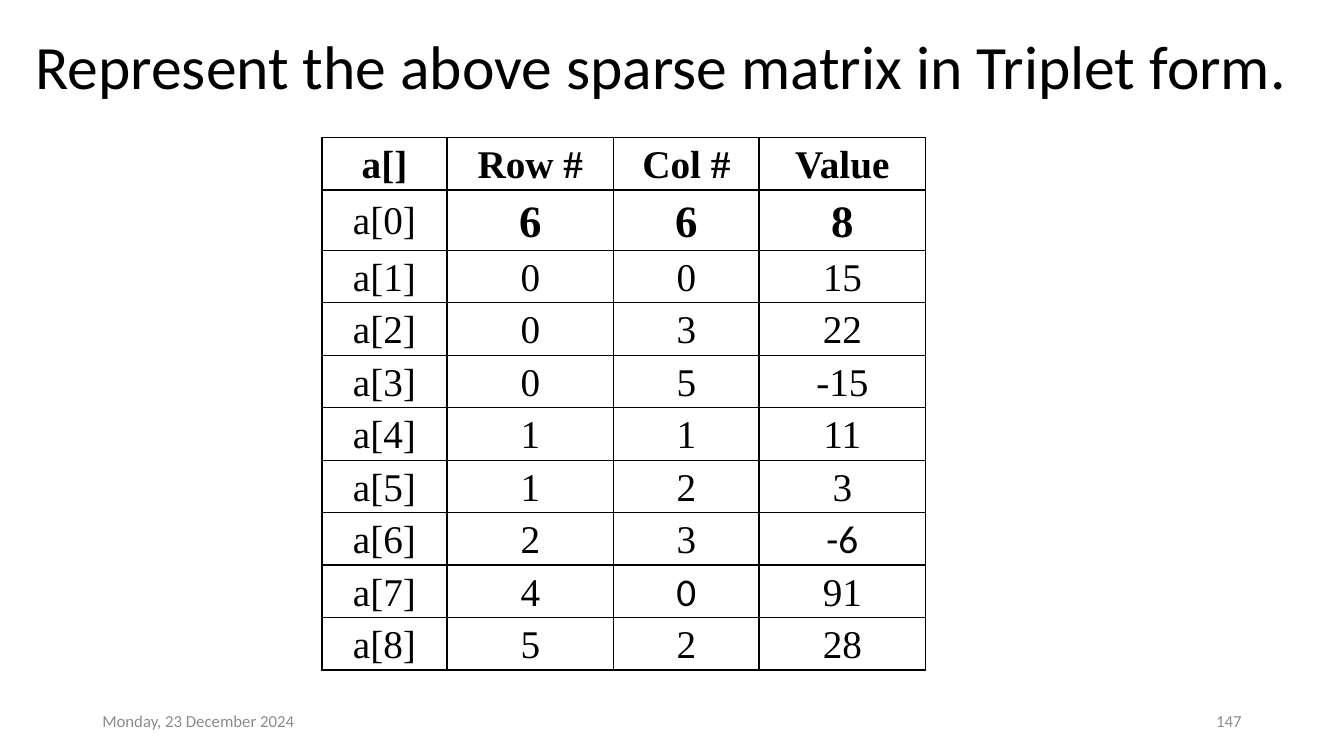
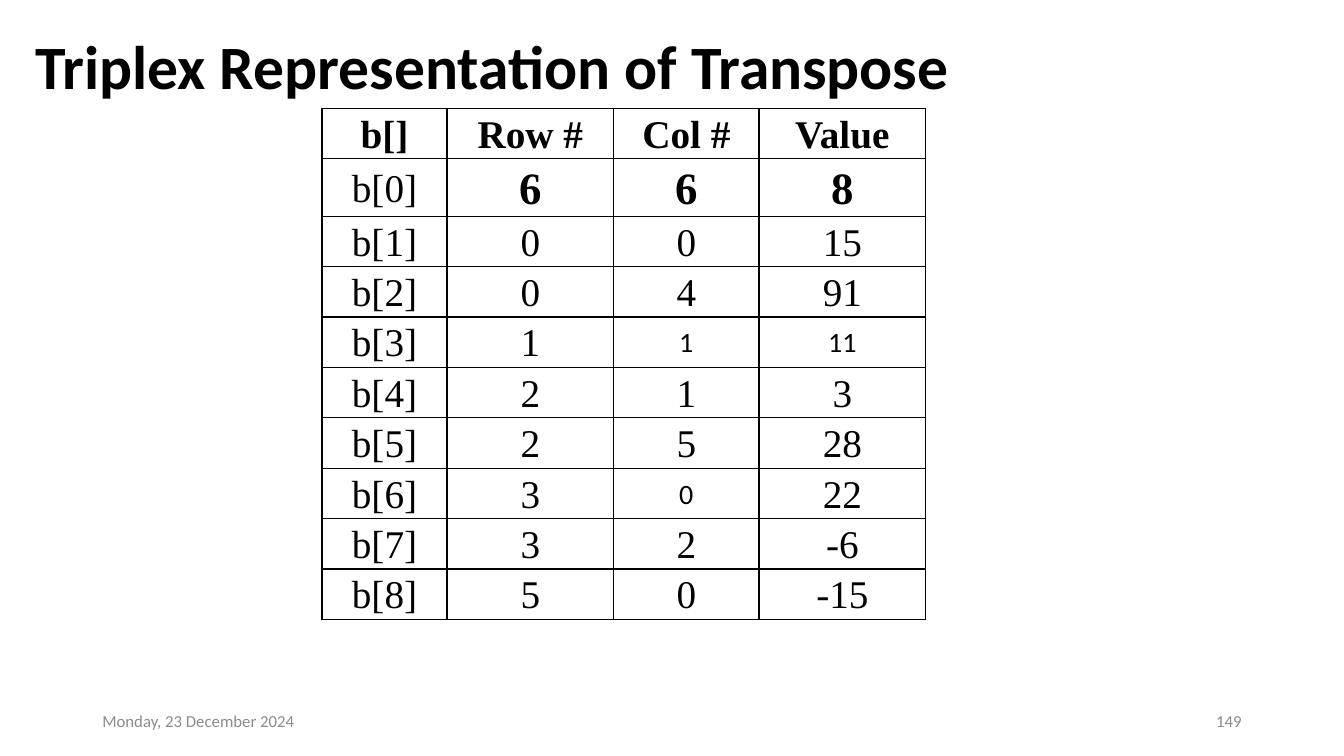
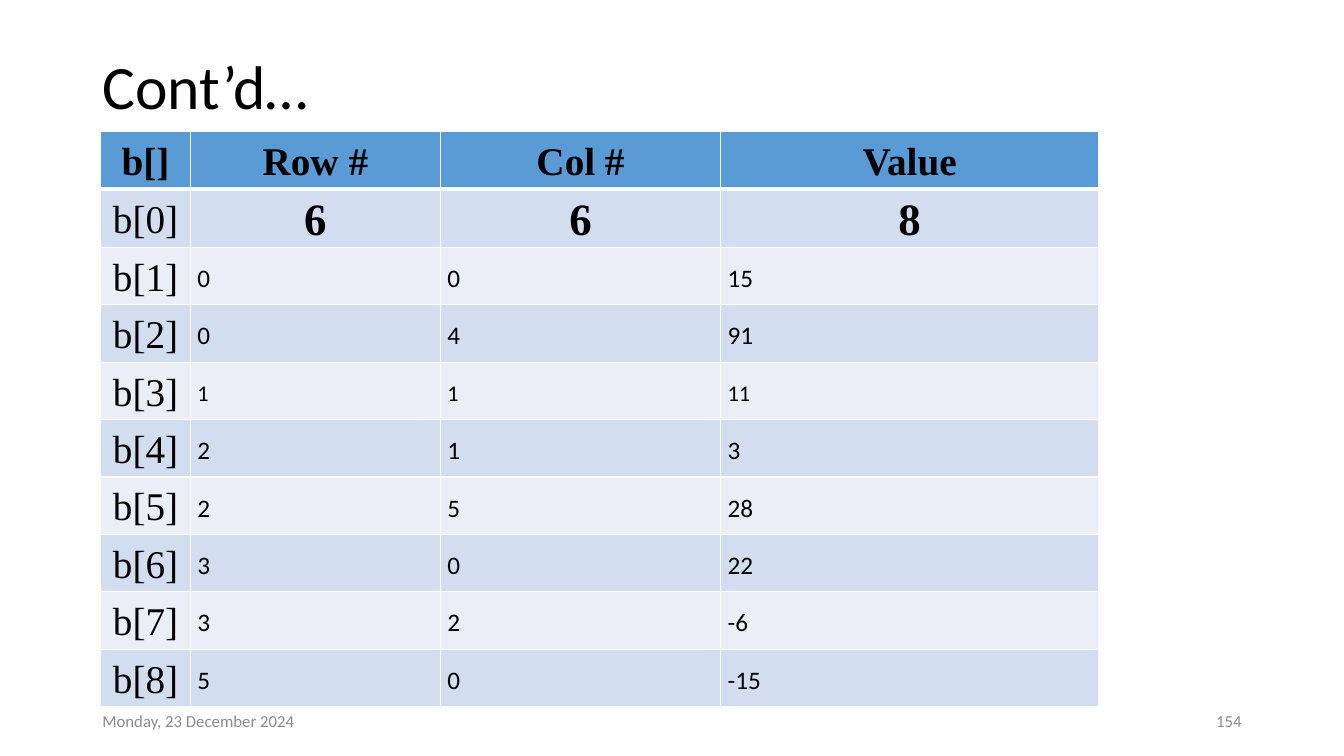
from dataclasses import dataclass, replace

from lxml.etree import SubElement
from pptx import Presentation
from pptx.dml.color import RGBColor
from pptx.enum.text import MSO_ANCHOR, MSO_AUTO_SIZE, PP_ALIGN
from pptx.oxml.ns import qn
from pptx.util import Pt

BLACK = RGBColor(0x00, 0x00, 0x00)
WHITE = RGBColor(0xFF, 0xFF, 0xFF)
GREY = RGBColor(0x8C, 0x8C, 0x8C)
HEADER_BLUE = RGBColor(0x5B, 0x9B, 0xD5)
DARK_BAND = RGBColor(0xD2, 0xDE, 0xEF)
LIGHT_BAND = RGBColor(0xEA, 0xEF, 0xF7)

SANS = "Calibri"
SERIF = "Times New Roman"
DATE = "Monday, 23 December 2024"

MATRIX_SIZE = (6, 6, 8)
TRIPLETS = [
    (0, 0, 15), (0, 3, 22), (0, 5, -15), (1, 1, 11),
    (1, 2, 3), (2, 3, -6), (4, 0, 91), (5, 2, 28),
]
TRANSPOSE = sorted((column, row, value) for row, column, value in TRIPLETS)

WIDE_TITLE = (18, 22.3, 921, 55.4)
INNER_TITLE = (66, 33, 828, 61.4)
NARROW_COLUMNS = (89.3, 119, 103.9, 119)
WIDE_COLUMNS = (64, 178.6, 200.2, 270)


@dataclass(frozen=True)
class TextStyle:
    """Look of one piece of text."""
    size: float
    font: str = SERIF
    color: RGBColor = BLACK
    bold: bool = False
    align: PP_ALIGN = PP_ALIGN.CENTER
    spacing: float = 1.07


@dataclass(frozen=True)
class TableLook:
    """Look of a whole table: line colour, row fills and top margin."""
    line: RGBColor
    header_fill: RGBColor = None
    bands: tuple = (None, None)
    header_line: float = 1
    top_margin: float = 0


ENTRY = TextStyle(28)
HEADING = replace(ENTRY, bold=True)
SIZE_ENTRY = replace(HEADING, size=32)
TITLE = TextStyle(44, SANS, align=PP_ALIGN.LEFT, spacing=0.9)
FOOTER = TextStyle(12, SANS, GREY, align=PP_ALIGN.LEFT, spacing=1)
SMALL_ENTRY = TextStyle(18, SANS, align=PP_ALIGN.LEFT, spacing=1.15)

GRID = TableLook(BLACK)
BANDED = TableLook(WHITE, HEADER_BLUE, (DARK_BAND, LIGHT_BAND), 3, 0.7)


def write(frame, text, style):
    """Put one styled run into a text frame."""
    para = frame.paragraphs[0]
    para.alignment = style.align
    para.line_spacing = style.spacing
    span = para.add_run()
    span.text = text
    span.font.name = style.font
    span.font.size = Pt(style.size)
    span.font.bold = style.bold
    span.font.color.rgb = style.color


def add_title(page, area, text, style):
    """Move the title placeholder to its area and fill it."""
    box = page.shapes.title
    box.left, box.top, box.width, box.height = map(Pt, area)
    frame = box.text_frame
    frame.auto_size = MSO_AUTO_SIZE.NONE
    frame.vertical_anchor = MSO_ANCHOR.MIDDLE
    write(frame, text, style)


def add_footer(page, number):
    """Place the date at the left and the page number at the right."""
    parts = ((66, DATE, PP_ALIGN.LEFT), (678, str(number), PP_ALIGN.RIGHT))
    for left, text, align in parts:
        box = page.shapes.add_textbox(Pt(left), Pt(500.5), Pt(216), Pt(28.8))
        frame = box.text_frame
        frame.word_wrap = True
        frame.vertical_anchor = MSO_ANCHOR.MIDDLE
        write(frame, text, replace(FOOTER, align=align))


def set_borders(cell, color, widths):
    """Draw the four borders of a cell, widths by side."""
    properties = cell._tc.get_or_add_tcPr()
    for side, width in widths.items():
        line = SubElement(properties, qn(f"a:ln{side}"), w=str(Pt(width)))
        fill = SubElement(line, qn("a:solidFill"))
        SubElement(fill, qn("a:srgbClr"), val=str(color))


def format_cell(cell, row, look):
    """Set margins, borders and fill of a cell according to its row."""
    cell.vertical_anchor = MSO_ANCHOR.MIDDLE
    cell.margin_left = cell.margin_right = Pt(5)
    cell.margin_top, cell.margin_bottom = Pt(look.top_margin), Pt(0)
    top = look.header_line if row == 1 else 1
    bottom = look.header_line if row == 0 else 1
    set_borders(cell, look.line, {"L": 1, "R": 1, "T": top, "B": bottom})
    color = look.bands[(row - 1) % 2] if row else look.header_fill
    if color is None:
        cell.fill.background()
    else:
        cell.fill.solid()
        cell.fill.fore_color.rgb = color


def choose_style(row, column, entry, special):
    """Pick the text style of a table cell."""
    if row == 0:
        return HEADING
    if column == 0:
        return ENTRY
    if row == 1:
        return SIZE_ENTRY
    return special.get((row, column), entry)


def add_triplet_table(page, origin, columns, heights, name, triplets,
                      look=GRID, entry=ENTRY, special=None):
    """Draw a triplet table with its top left corner at the origin."""
    rows = [(f"{name}[]", "Row #", "Col #", "Value")]
    for index, triplet in enumerate([MATRIX_SIZE, *triplets]):
        rows.append((f"{name}[{index}]", *map(str, triplet)))
    frame = page.shapes.add_table(len(rows), len(columns), *map(Pt, origin),
                                  Pt(sum(columns)), Pt(sum(heights)))
    table = frame.table
    table.first_row = table.horz_banding = False
    for column, width in zip(table.columns, columns):
        column.width = Pt(width)
    for row, (texts, height) in enumerate(zip(rows, heights)):
        table.rows[row].height = Pt(height)
        for column, text in enumerate(texts):
            cell = table.cell(row, column)
            format_cell(cell, row, look)
            style = choose_style(row, column, entry, special or {})
            write(cell.text_frame, text, style)


def add_page(deck, title, area, number, title_style=TITLE):
    """Add a slide with its title and footer."""
    page = deck.slides.add_slide(deck.slide_layouts[5])
    add_title(page, area, title, title_style)
    add_footer(page, number)
    return page


def main():
    """Build the three slides and save the deck."""
    deck = Presentation()
    deck.slide_width, deck.slide_height = Pt(960), Pt(540)

    page = add_page(deck, "Represent the above sparse matrix in Triplet form.",
                    WIDE_TITLE, 147)
    sans_entry = replace(ENTRY, font=SANS)
    add_triplet_table(page, (230, 98.3), NARROW_COLUMNS,
                      [37.5, 43] + [37.5] * 8, "a", TRIPLETS,
                      special={(7, 3): sans_entry, (8, 2): sans_entry})

    page = add_page(deck, "Triplex Representation of Transpose",
                    WIDE_TITLE, 149, replace(TITLE, bold=True))
    sans_entry = replace(ENTRY, font=SANS, size=20)
    add_triplet_table(page, (230, 77.3), NARROW_COLUMNS,
                      [34.5] + [32.4] * 9, "b", TRANSPOSE,
                      special=dict.fromkeys([(4, 2), (4, 3), (7, 2)],
                                            sans_entry))

    page = add_page(deck, "Cont’d…", INNER_TITLE, 154)
    smaller_entry = replace(SMALL_ENTRY, size=16)
    add_triplet_table(page, (72, 94), WIDE_COLUMNS, [41] * 10, "b", TRANSPOSE,
                      look=BANDED, entry=SMALL_ENTRY,
                      special={(4, column): smaller_entry
                               for column in (1, 2, 3)})

    deck.save("out.pptx")


if __name__ == "__main__":
    main()
